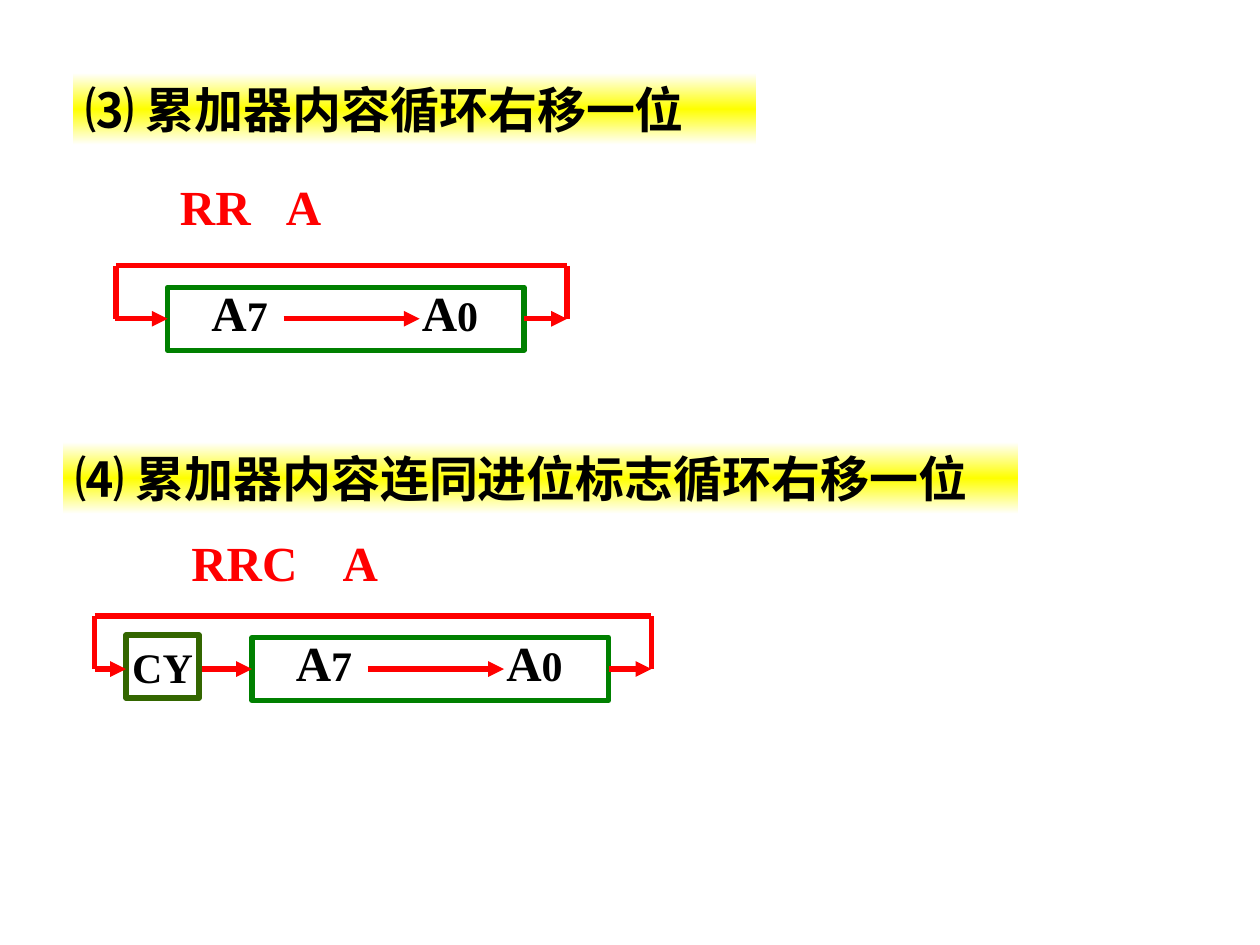
from copy import deepcopy
from itertools import pairwise

from lxml import etree
from pptx import Presentation
from pptx import util as u
from pptx.dml.color import RGBColor
from pptx.enum import shapes, text
from pptx.oxml import ns

RED, BLACK, GREEN, OLIVE = "FF0000", "000000", "008000", "336600"
LATIN, CHINESE = "Times New Roman", "Noto Sans CJK SC"


def colour(value):
    """Turn a hex string into a colour."""
    return RGBColor.from_string(value)


def inches(*values):
    """Turn plain numbers into lengths."""
    return [u.Inches(value) for value in values]


def write(para, words, size=28, font=LATIN, color=BLACK):
    """Add a bold run to a paragraph."""
    span = para.add_run()
    span.text = words
    span.font.size = u.Pt(size)
    span.font.name = font
    span.font.bold = True
    span.font.color.rgb = colour(color)
    if font == CHINESE:
        face = etree.SubElement(span.font._element, ns.qn("a:ea"))
        face.set("typeface", font)


def prepare(shape, wrap=True, anchor=text.MSO_ANCHOR.TOP, align=text.PP_ALIGN.LEFT):
    """Set the frame of a shape and return its first paragraph."""
    frame = shape.text_frame
    frame.word_wrap = wrap
    frame.auto_size = text.MSO_AUTO_SIZE.NONE
    frame.vertical_anchor = anchor
    para = frame.paragraphs[0]
    para.alignment = align
    para.space_before = u.Pt(0)
    return para


def outline(parent, box, color):
    """Draw an unfilled rectangle."""
    shape = parent.shapes.add_shape(shapes.MSO_SHAPE.RECTANGLE, *inches(*box))
    shape.shadow.inherit = False
    shape.fill.background()
    shape.line.color.rgb = colour(color)
    shape.line.width = u.Pt(3)
    return shape


def wire(parent, start, end, arrow=False):
    """Draw a red line, with an arrowhead at its end if asked."""
    line = parent.shapes.add_connector(
        shapes.MSO_CONNECTOR.STRAIGHT, *inches(*start, *end))
    line.line.color.rgb = colour(RED)
    line.line.width = u.Pt(3)
    if arrow:
        tip = etree.SubElement(line.line._get_or_add_ln(), ns.qn("a:tailEnd"))
        tip.set("type", "triangle")
    etree.SubElement(line._element.spPr, ns.qn("a:effectLst"))


def heading(shape, box, words):
    """Place a heading on a band that fades from yellow to white."""
    shape.left, shape.top, shape.width, shape.height = inches(*box)
    shape.shadow.inherit = False
    shape.line.fill.background()
    shape.fill.gradient()
    shape.fill.gradient_angle = 90
    first = shape._element.xpath(".//a:gs")[0]
    first.addnext(deepcopy(first))
    bands = ((0, "FFFFFF"), (0.5, "FFFF00"), (1, "FFFFFF"))
    for stop, (position, color) in zip(shape.fill.gradient_stops, bands):
        stop.position = position
        stop.color.rgb = colour(color)
    write(prepare(shape), words, font=CHINESE)


def instruction(page, box, mnemonic, operand, gap):
    """Write an instruction with its operand at a tab stop."""
    para = prepare(page.shapes.add_textbox(*inches(*box)))
    tabs = etree.SubElement(para._p.get_or_add_pPr(), ns.qn("a:tabLst"))
    stop = etree.SubElement(tabs, ns.qn("a:tab"))
    stop.set("pos", str(u.Inches(gap)))
    stop.set("algn", "l")
    write(para, f"{mnemonic}\t{operand}", color=RED)


def register(page, left, top, width=2.83, height=0.5):
    """Draw the accumulator with its inner, incoming and outgoing arrows."""
    group = page.shapes.add_group_shape()
    outline(group, (left, top, width, height), GREEN)
    for digit, offset, span in (("7", 0.25, 0.75), ("0", 1.92, 1)):
        box = inches(left + offset, top - 0.09, span, 0.57)
        para = prepare(group.shapes.add_textbox(*box))
        write(para, "A")
        write(para, digit, size=24)
    middle = top + height / 2
    for start, end in ((0.92, 2), (-0.42, 0), (width, width + 0.34)):
        wire(group, (left + start, middle), (left + end, middle), arrow=True)


def feedback(page, left, top, right, bottom):
    """Draw the path that leads back over the register."""
    corners = (left, bottom), (left, top), (right, top), (right, bottom)
    for start, end in pairwise(corners):
        wire(page, start, end)


def carry(page, left, top, width=0.58, height=0.5):
    """Draw the carry flag and the arrow into it."""
    shape = outline(page, (left, top, width, height), OLIVE)
    para = prepare(shape, wrap=False, anchor=text.MSO_ANCHOR.MIDDLE,
                   align=text.PP_ALIGN.CENTER)
    write(para, "CY", size=24)
    wire(page, (left - 0.25, top + 0.27), (left, top + 0.27), arrow=True)


def main():
    """Build the slide on the two rotate instructions."""
    deck = Presentation()
    deck.slide_width, deck.slide_height = inches(10, 7.5)
    page = deck.slides.add_slide(deck.slide_layouts[5])

    heading(page.shapes.title, (0.58, 0.58, 5.42, 0.57), "⑶ 累加器内容循环右移一位")
    instruction(page, (1.33, 1.35, 2.19, 0.57), "RR", "A", 0.84)
    register(page, 1.33, 2.28)
    feedback(page, 0.92, 2.11, 4.5, 2.53)

    band = page.shapes.add_shape(shapes.MSO_SHAPE.RECTANGLE, *inches(0, 0, 1, 1))
    heading(band, (0.5, 3.51, 7.58, 0.57), "⑷ 累加器内容连同进位标志循环右移一位")
    instruction(page, (1.42, 4.18, 2.32, 0.57), "RRC", "A", 1.2)
    register(page, 2, 5.06)
    feedback(page, 0.75, 4.89, 5.17, 5.31)
    carry(page, 1, 5.04)

    deck.save("out.pptx")


if __name__ == "__main__":
    main()
